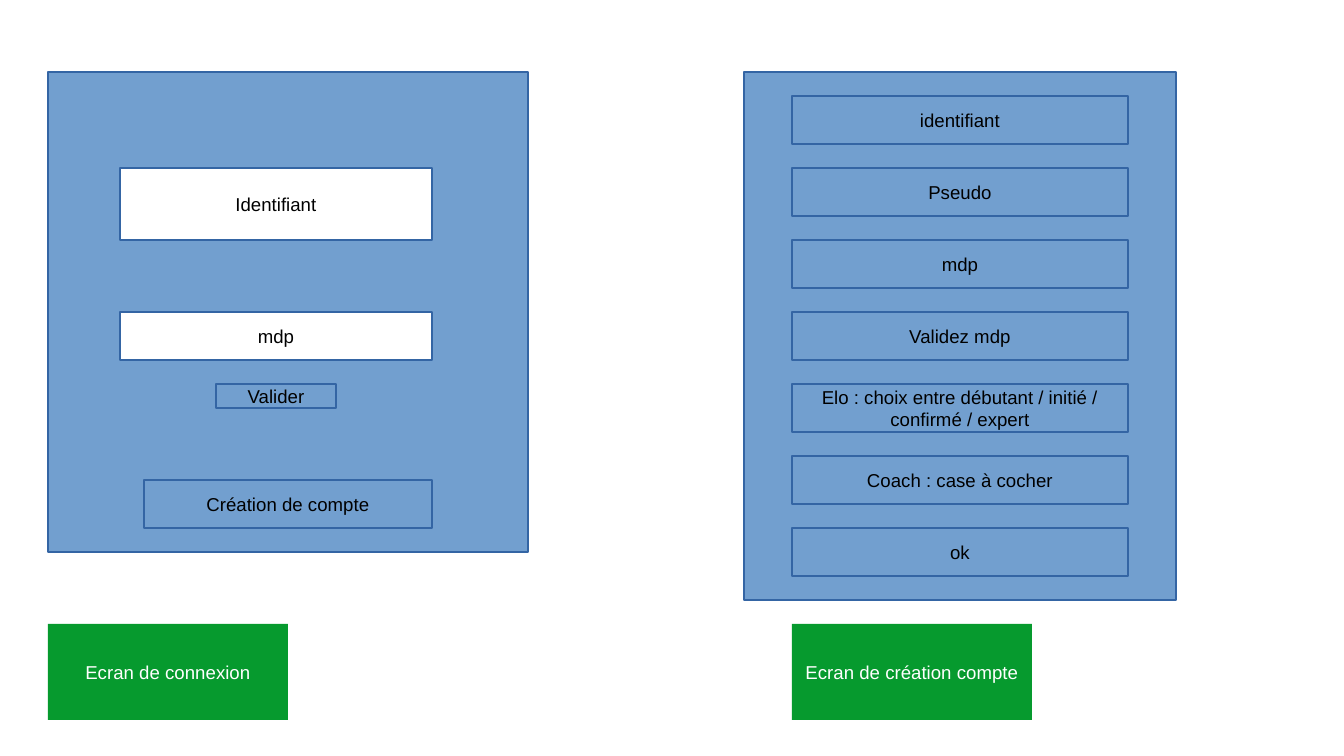
from pptx import Presentation
from pptx.dml.color import RGBColor
from pptx.enum.shapes import MSO_SHAPE
from pptx.enum.text import MSO_ANCHOR, PP_ALIGN
from pptx.util import Cm, Pt

BLUE = RGBColor(0x72, 0x9F, 0xCF)
BORDER = RGBColor(0x34, 0x65, 0xA4)
GREEN = RGBColor(0x06, 0x9A, 0x2E)
WHITE = RGBColor(0xFF, 0xFF, 0xFF)
BLACK = RGBColor(0x00, 0x00, 0x00)

# Login controls: text, left, top, width, height (cm), fill
LOGIN_CONTROLS = [
    ("Identifiant", 2.5, 3.5, 6.5, 1.5, WHITE),
    ("mdp", 2.5, 6.5, 6.5, 1, WHITE),
    ("Création de compte", 3, 10, 6, 1, BLUE),
    ("Valider", 4.5, 8, 2.5, 0.5, BLUE),
]
ACCOUNT_FIELDS = [
    "identifiant",
    "Pseudo",
    "mdp",
    "Validez mdp",
    "Elo\u00a0: choix entre débutant / initié / confirmé / expert",
    "Coach\u00a0: case à cocher",
    "ok",
]
FIELD_TOP, FIELD_STEP = 2, 1.5


def add_box(shapes, left, top, width, height, fill=BLUE, border=BORDER):
    sp = shapes.add_shape(MSO_SHAPE.RECTANGLE,
                          Cm(left), Cm(top), Cm(width), Cm(height))
    sp.shadow.inherit = False
    sp.fill.solid()
    sp.fill.fore_color.rgb = fill
    if border is None:
        sp.line.fill.background()
    else:
        sp.line.color.rgb = border
        sp.line.width = Pt(0)
    return sp


def add_text(sp, text, color=BLACK):
    tf = sp.text_frame
    tf.word_wrap = True
    tf.vertical_anchor = MSO_ANCHOR.MIDDLE
    p = tf.paragraphs[0]
    p.alignment = PP_ALIGN.CENTER
    r = p.add_run()
    r.text = text
    r.font.name = "Arial"
    r.font.size = Pt(11)
    r.font.color.rgb = color


def add_screen_label(shapes, text, left):
    sp = add_box(shapes, left, 13, 5, 2, GREEN, border=None)
    add_text(sp, text, WHITE)


def add_login_screen(shapes):
    group = shapes.add_group_shape()
    add_box(group.shapes, 1, 1.5, 10, 10)
    for text, left, top, width, height, fill in LOGIN_CONTROLS:
        add_text(add_box(group.shapes, left, top, width, height, fill), text)


def add_account_screen(shapes):
    add_box(shapes, 15.5, 1.5, 9, 11)
    for i, text in enumerate(ACCOUNT_FIELDS):
        add_text(add_box(shapes, 16.5, FIELD_TOP + i * FIELD_STEP, 7, 1), text)


def main():
    prs = Presentation()
    prs.slide_width, prs.slide_height = Cm(28), Cm(15.75)
    s = prs.slides.add_slide(prs.slide_layouts[6])

    # Login screen
    add_screen_label(s.shapes, "Ecran de connexion", 1)
    add_login_screen(s.shapes)

    # Account creation screen
    add_screen_label(s.shapes, "Ecran de création compte", 16.5)
    add_account_screen(s.shapes)

    prs.save("out.pptx")


main()
